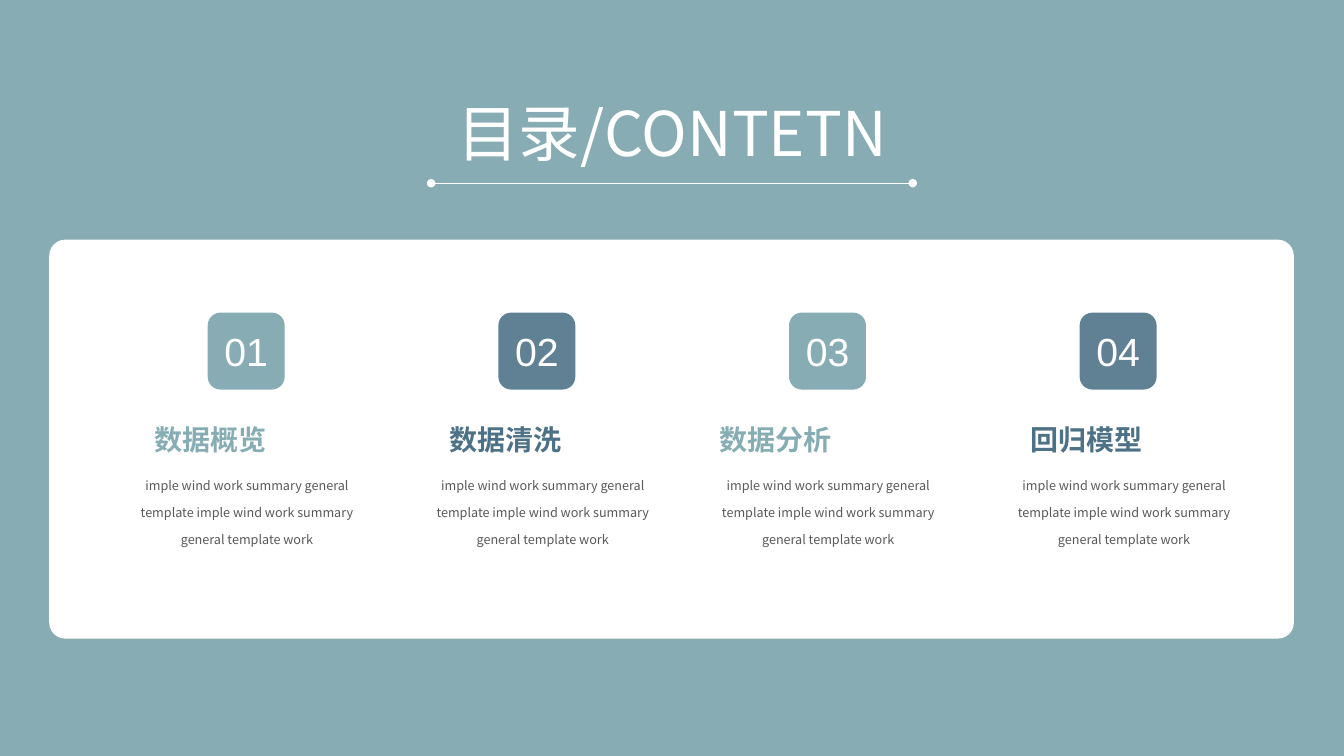
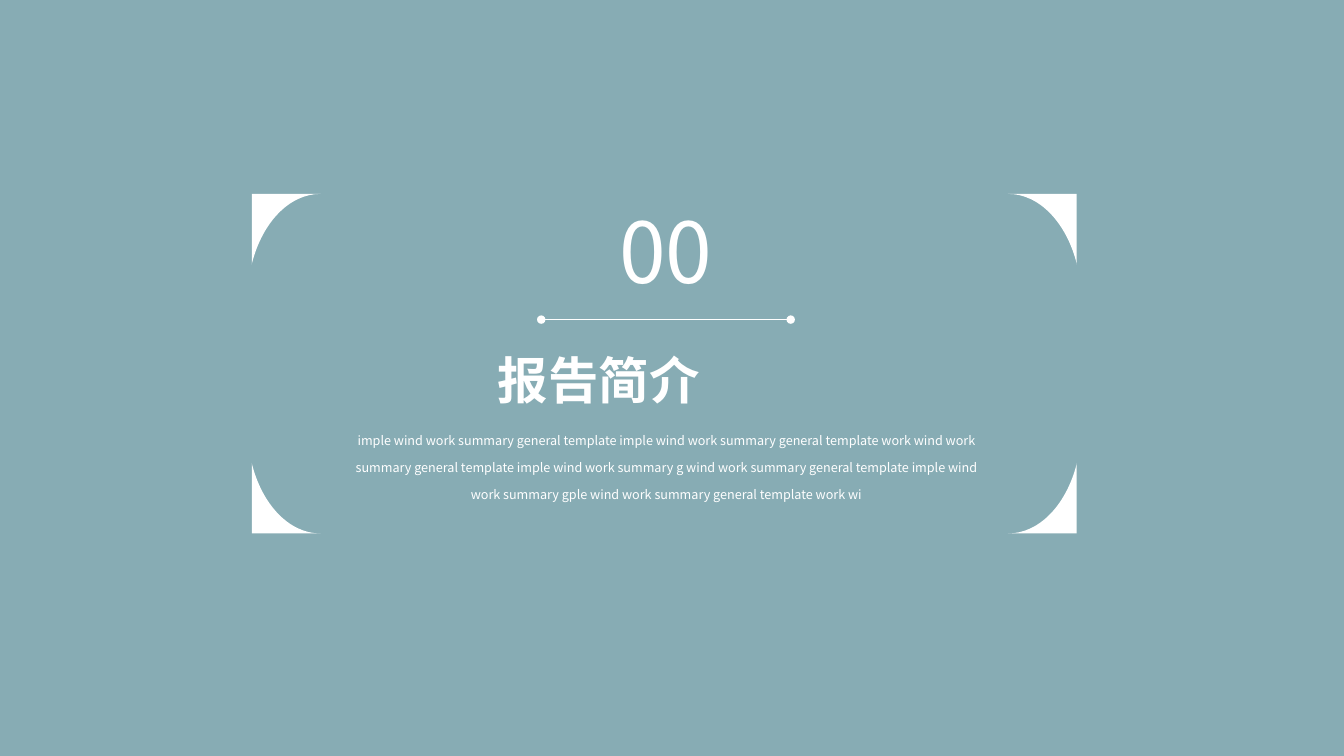
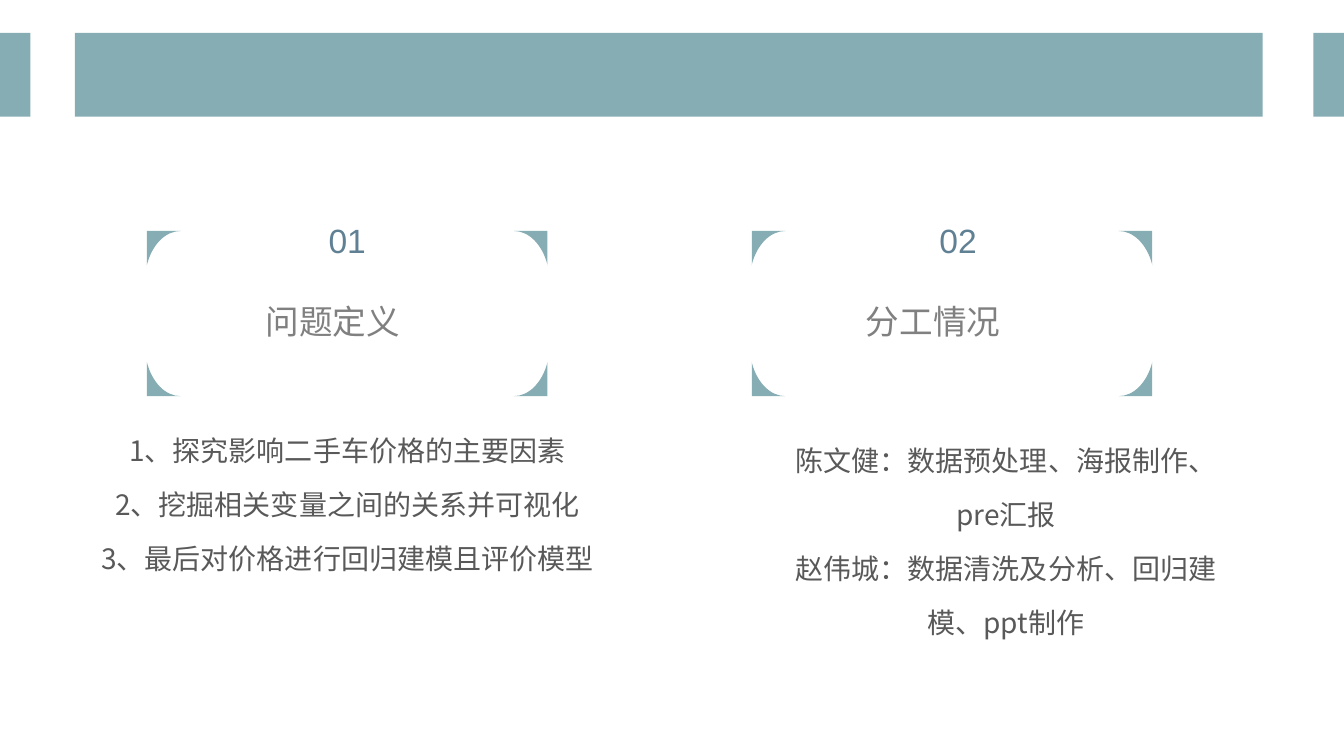
from lxml import etree
from pptx import Presentation
from pptx.dml.color import RGBColor
from pptx.enum.shapes import MSO_CONNECTOR, MSO_SHAPE
from pptx.enum.text import MSO_AUTO_SIZE, PP_ALIGN
from pptx.oxml.ns import qn
from pptx.util import Pt

CENTER, JUSTIFY = PP_ALIGN.CENTER, PP_ALIGN.JUSTIFY
GROW = MSO_AUTO_SIZE.SHAPE_TO_FIT_TEXT
RECT, ROUNDED, OVAL = MSO_SHAPE.RECTANGLE, MSO_SHAPE.ROUNDED_RECTANGLE, MSO_SHAPE.OVAL
STRAIGHT = MSO_CONNECTOR.STRAIGHT

WIDTH, HEIGHT = 960, 540
WHITE, TEAL, BAND_TEAL = "FFFFFF", "87ACB4", "86ADB4"
SLATE, NAVY, GRAY, DARK = "608094", "4D7187", "808080", "595959"
SANS, LATIN, HEADING = "Noto Sans CJK SC", "Arial", "Calibri"
DOT = 6
CORNER = ((0, 0), (1, 0), (0.54, 0), (0.15, 0.41), (0, 0.98), (0, 1))

SUMMARY = ("imple wind work summary general template imple wind work summary "
           "general template work")
INTRO = (SUMMARY + " wind work summary general template imple wind work summary g"
         " wind work summary general template imple wind work summary gple"
         " wind work summary general template work wi")


def color(hex_code):
    return RGBColor.from_string(hex_code)


def new_slide(deck, background):
    slide = deck.slides.add_slide(deck.slide_layouts[6])
    slide.background.fill.solid()
    slide.background.fill.fore_color.rgb = color(background)
    return slide


def paint(shape, fill):
    shape.shadow.inherit = False
    shape.fill.solid()
    shape.fill.fore_color.rgb = color(fill)
    shape.line.fill.background()
    return shape


def block(slide, kind, box, fill):
    return paint(slide.shapes.add_shape(kind, *map(Pt, box)), fill)


def label(slide, box, lines, size, ink, font=SANS, align=CENTER, bold=False,
          spacing=None, wrap=True):
    frame = slide.shapes.add_textbox(*map(Pt, box)).text_frame
    frame.word_wrap = wrap
    frame.auto_size = GROW
    for index, line in enumerate(lines):
        paragraph = frame.paragraphs[0] if index == 0 else frame.add_paragraph()
        paragraph.alignment = align
        if spacing:
            paragraph.line_spacing = spacing
        run = paragraph.add_run()
        run.text = line
        run.font.size = Pt(size)
        run.font.bold = bold
        run.font.name = font
        run.font.color.rgb = color(ink)
        east_asian = etree.Element(qn("a:ea"), typeface=SANS)
        run.font._element.find(qn("a:latin")).addnext(east_asian)


def dotted_rule(slide, left, middle, width):
    rule = slide.shapes.add_connector(
        STRAIGHT, Pt(left + DOT / 2), Pt(middle), Pt(left + width - DOT / 2), Pt(middle))
    rule.line.color.rgb = color(WHITE)
    rule.line.width = Pt(0.5)
    etree.SubElement(rule._element.spPr, qn("a:effectLst"))
    for dot_left in (left, left + width - DOT):
        block(slide, OVAL, (dot_left, middle - DOT / 2, DOT, DOT), WHITE)


def bend(corner):
    segments = list(corner._element.iter(qn("a:lnTo")))[1:4]
    curve = etree.Element(qn("a:cubicBezTo"))
    segments[0].addprevious(curve)
    for segment in segments:
        curve.append(segment[0])
        segment.getparent().remove(segment)


def corner_frame(slide, box, corner_width, corner_height, fill):
    left, top, width, height = box
    for edge_x, inward_x in ((left, corner_width), (left + width, -corner_width)):
        for edge_y, inward_y in ((top, corner_height), (top + height, -corner_height)):
            points = [(Pt(edge_x + u * inward_x), Pt(edge_y + v * inward_y))
                      for u, v in CORNER]
            builder = slide.shapes.build_freeform(*points[0], scale=1.0)
            builder.add_line_segments(points[1:], close=True)
            bend(paint(builder.convert_to_shape(), fill))


def agenda_card(slide, left, top, number, title, fill, ink, title_shift, text_shift):
    block(slide, ROUNDED, (left, top, 55, 55), fill)
    label(slide, (left, top + 7, 55, 41), [number], 28, WHITE, font=LATIN)
    label(slide, (left + title_shift, top + 74.8, 147, 31.5), [title], 20, ink,
          font=HEADING, align=JUSTIFY, bold=True)
    label(slide, (left + text_shift, top + 105.8, 169.2, 66), [SUMMARY], 9, DARK,
          spacing=1.8)


def contents_slide(deck):
    slide = new_slide(deck, TEAL)
    label(slide, (314, 64.5, 332, 60.5), ["目录/CONTETN"], 44, WHITE, wrap=False)
    panel = block(slide, ROUNDED, (35.2, 171.2, 889, 285), WHITE)
    panel.adjustments[0] = 0.04
    dotted_rule(slide, 305, 130.9, 350)
    cards = (("数据概览", -45.4), ("数据清洗", -42), ("数据分析", -56.7), ("回归模型", -42.5))
    looks = ((TEAL, BAND_TEAL, -56.7), (SLATE, NAVY, -53))
    for index, (title, title_shift) in enumerate(cards):
        fill, ink, text_shift = looks[index % 2]
        agenda_card(slide, 148.4 + 207.6 * index, 223.3, f"{index + 1:02}", title,
                    fill, ink, title_shift, text_shift)


def section_slide(deck):
    slide = new_slide(deck, TEAL)
    left, top = 180, 138.5
    corner_frame(slide, (left, top, 589, 242.6), 49, 50.5, WHITE)
    label(slide, (left + 168.6, top + 107.6, 253.5, 51), ["报告简介"], 36, WHITE,
          font=HEADING, align=JUSTIFY, bold=True)
    label(slide, (left + 62.8, top + 158.3, 466, 66), [INTRO], 9, WHITE, spacing=1.8)
    dotted_rule(slide, left + 203.6, top + 89.8, 184.2)
    label(slide, (left + 242, top + 0.5, 107, 80), ["00"], 60, WHITE)


def topic(slide, left, top, number, title, number_shift, title_box, text_box, lines):
    corner_frame(slide, (left, top, 286, 118), 24, 24.5, BAND_TEAL)
    title_shift, title_width = title_box
    label(slide, (left + title_shift, top + 46.3, title_width, 36), [title], 24, GRAY,
          align=JUSTIFY)
    text_shift, text_drop, text_width, text_height = text_box
    label(slide, (left + text_shift, top + text_drop, text_width, text_height), lines,
          20, DARK, spacing=1.6)
    label(slide, (left + number_shift, top - 11.5, 48, 36), [number], 24, SLATE, font=LATIN)


def topics_slide(deck):
    slide = new_slide(deck, WHITE)
    for left, width in ((53.5, 848.5), (0, 21.8), (938.2, 21.8)):
        block(slide, RECT, (left, 23.5, width, 59.8), BAND_TEAL)
    topics = (
        ("问题定义", 119, (77.7, 141), (-51.6, 126.9, 389.5, 124),
         ["1、探究影响二手车价格的主要因素",
          "2、挖掘相关变量之间的关系并可视化",
          "3、最后对价格进行回归建模且评价模型"]),
        ("分工情况", 123.4, (74.4, 168.5), (23.9, 134, 315.5, 162),
         ["陈文健：数据预处理、海报制作、pre汇报",
          "赵伟城：数据清洗及分析、回归建模、ppt制作"]),
    )
    for index, (title, *layout) in enumerate(topics):
        topic(slide, 105 + 432 * index, 165, f"{index + 1:02}", title, *layout)


def main():
    deck = Presentation()
    deck.slide_width, deck.slide_height = Pt(WIDTH), Pt(HEIGHT)
    contents_slide(deck)
    section_slide(deck)
    topics_slide(deck)
    deck.save("out.pptx")


if __name__ == "__main__":
    main()
